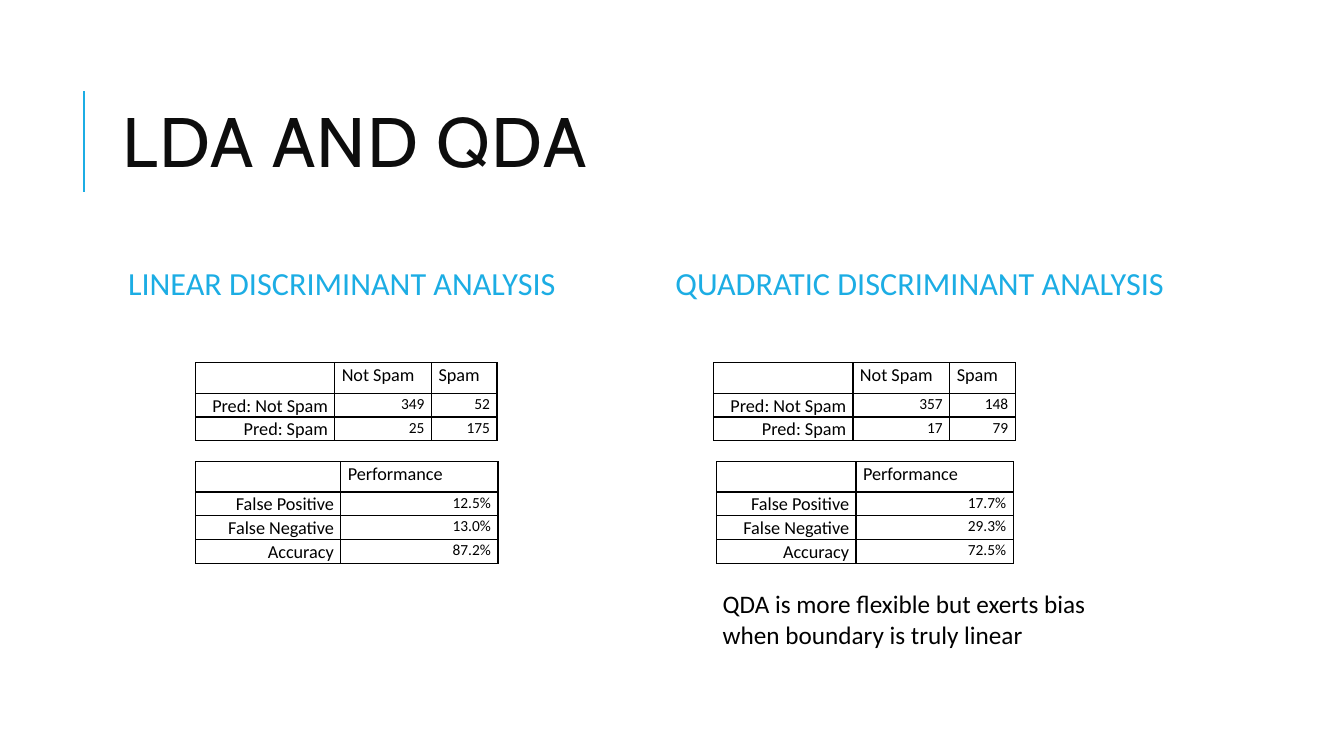
from lxml.etree import SubElement
from pptx import Presentation
from pptx.dml.color import RGBColor
from pptx.enum.shapes import MSO_CONNECTOR
from pptx.enum.text import MSO_ANCHOR as ANCHOR, PP_ALIGN as ALIGN
from pptx.oxml.ns import qn
from pptx.util import Inches, Pt

BLUE = RGBColor(0x1C, 0xAD, 0xE4)
INK = RGBColor(0x0D, 0x0D, 0x0D)
BLACK = RGBColor(0, 0, 0)

TITLE = "LDA AND QDA"
NOTE = "QDA is more flexible but exerts bias when boundary is truly linear"
CONFUSION_COLS = (1.38, 0.96, 0.65)
CONFUSION_TOP, PERFORMANCE_TOP = 3.6, 4.58
ROW_HEIGHT = 0.236

METHODS = [
    {
        "heading": "LINEAR DISCRIMINANT ANALYSIS",
        "heading_left": 1.12,
        "confusion_left": 1.94,
        "confusion": [("349", "52"), ("25", "175")],
        "performance_left": 1.94,
        "performance_cols": (1.44, 1.56),
        "performance": ["12.5%", "13.0%", "87.2%"],
    },
    {
        "heading": "QUADRATIC DISCRIMINANT ANALYSIS",
        "heading_left": 6.55,
        "confusion_left": 7.08,
        "confusion": [("357", "148"), ("17", "79")],
        "performance_left": 7.11,
        "performance_cols": (1.38, 1.56),
        "performance": ["17.7%", "29.3%", "72.5%"],
    },
]


def style(p, size, color, font="Calibri", spacing=None):
    """Set the font and line spacing of a paragraph."""
    p.font.name, p.font.size = font, Pt(size)
    p.font.color.rgb = color
    if spacing:
        p.line_spacing = spacing


def add_text(box, text, size, color, font="Calibri", spacing=None,
             anchor=ANCHOR.TOP, side=0.1):
    """Add a wrapping one-paragraph text box and return its paragraph."""
    tf = slide.shapes.add_textbox(*map(Inches, box)).text_frame
    tf.word_wrap = True
    tf.vertical_anchor = anchor
    tf.margin_left = tf.margin_right = Inches(side)
    p = tf.paragraphs[0]
    p.text = text
    style(p, size, color, font, spacing)
    return p


def add_borders(cell):
    """Draw a thin black line on all four sides of a cell."""
    tcPr = cell._tc.get_or_add_tcPr()
    for i, side in enumerate(("lnL", "lnR", "lnT", "lnB")):
        ln = tcPr.makeelement(qn(f"a:{side}"), {"w": str(Pt(1))})
        fill = SubElement(ln, qn("a:solidFill"))
        SubElement(fill, qn("a:srgbClr"), val=str(BLACK))
        tcPr.insert(i, ln)


def add_grid(left, top, cols, header, labels, values):
    """Add a bordered table with a header row and a label column."""
    rows = [("", *header)] + [(k, *v) for k, v in zip(labels, values)]
    table = slide.shapes.add_table(
        len(rows), len(cols), Inches(left), Inches(top),
        Inches(sum(cols)), Inches(ROW_HEIGHT * len(rows))).table
    table.first_row = table.horz_banding = False
    for column, width in zip(table.columns, cols):
        column.width = Inches(width)
    for r, row in enumerate(rows):
        table.rows[r].height = Inches(ROW_HEIGHT)
        for c, text in enumerate(row):
            cell = table.cell(r, c)
            cell.fill.background()
            add_borders(cell)
            cell.margin_left = cell.margin_right = Inches(0.07)
            cell.margin_top = cell.margin_bottom = 0
            p = cell.text_frame.paragraphs[0]
            p.add_run().text = text
            p.alignment = ALIGN.RIGHT if r else ALIGN.LEFT
            style(p, 11 if r and c else 13, BLACK, spacing=1.07)


prs = Presentation()
prs.slide_width, prs.slide_height = Inches(13.33), Inches(7.5)
slide = prs.slides.add_slide(prs.slide_layouts[6])

rule = slide.shapes.add_connector(
    MSO_CONNECTOR.STRAIGHT, Inches(0.83), Inches(1.9), Inches(0.83), Inches(0.9))
rule.line.color.rgb, rule.line.width = BLUE, Pt(1.5)
SubElement(rule._element.spPr, qn("a:effectLst"))

title = add_text((1.12, 0.64, 10.63, 1.64), TITLE, 50, INK, "Cabin", 0.8,
                 ANCHOR.MIDDLE)
title.runs[0]._r.get_or_add_rPr().set("spc", "100")

for m in METHODS:
    add_text((m["heading_left"], 2.38, 5.2, 0.9), m["heading"], 23, BLUE,
             spacing=0.9, anchor=ANCHOR.MIDDLE, side=0.15)
    add_grid(m["confusion_left"], CONFUSION_TOP, CONFUSION_COLS,
             ("Not Spam", "Spam"), ("Pred: Not Spam", "Pred: Spam"),
             m["confusion"])
    add_grid(m["performance_left"], PERFORMANCE_TOP, m["performance_cols"],
             ("Performance",), ("False Positive", "False Negative", "Accuracy"),
             [(v,) for v in m["performance"]])

add_text((7.07, 5.79, 3.83, 0.71), NOTE, 18, BLACK)

prs.save("out.pptx")
